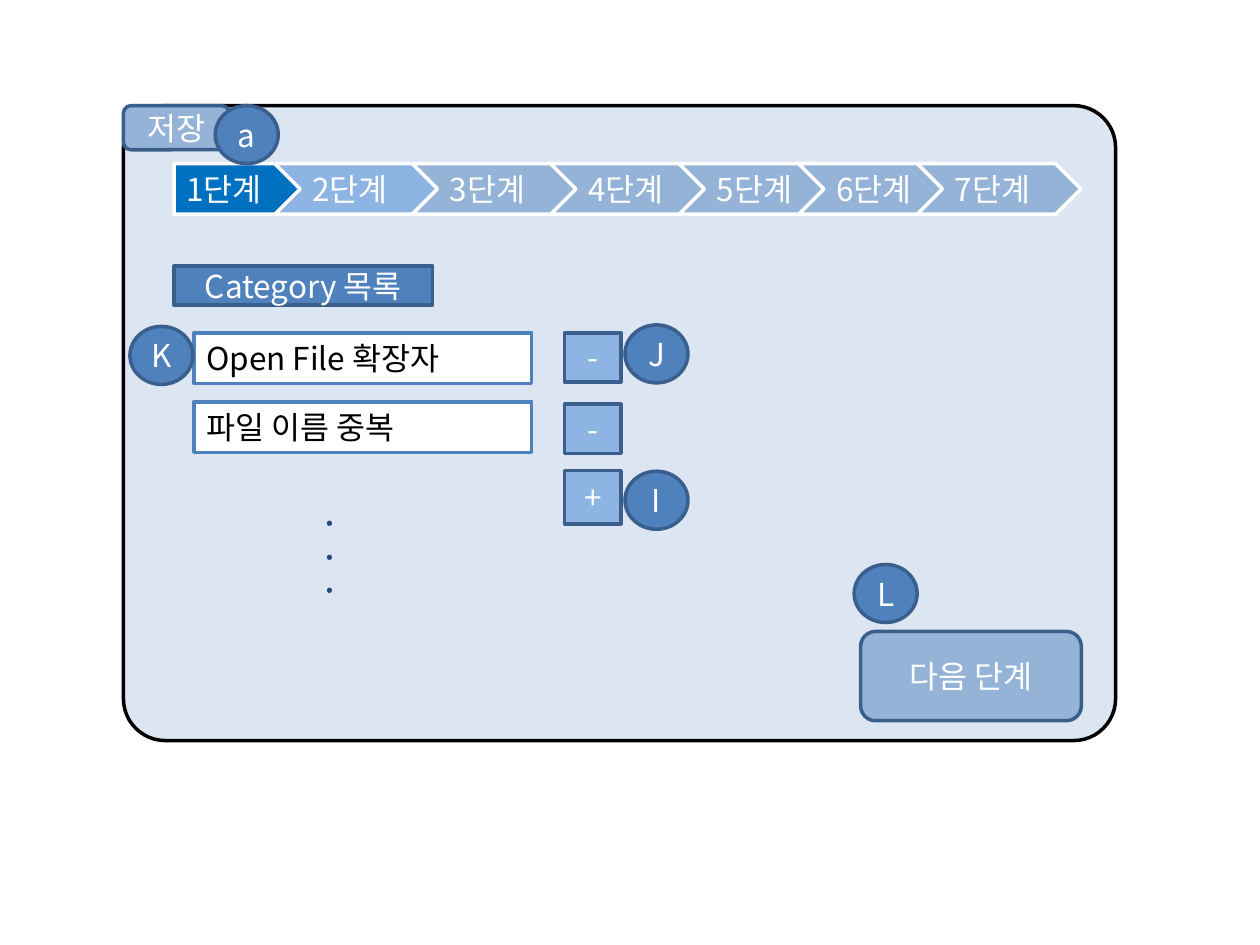
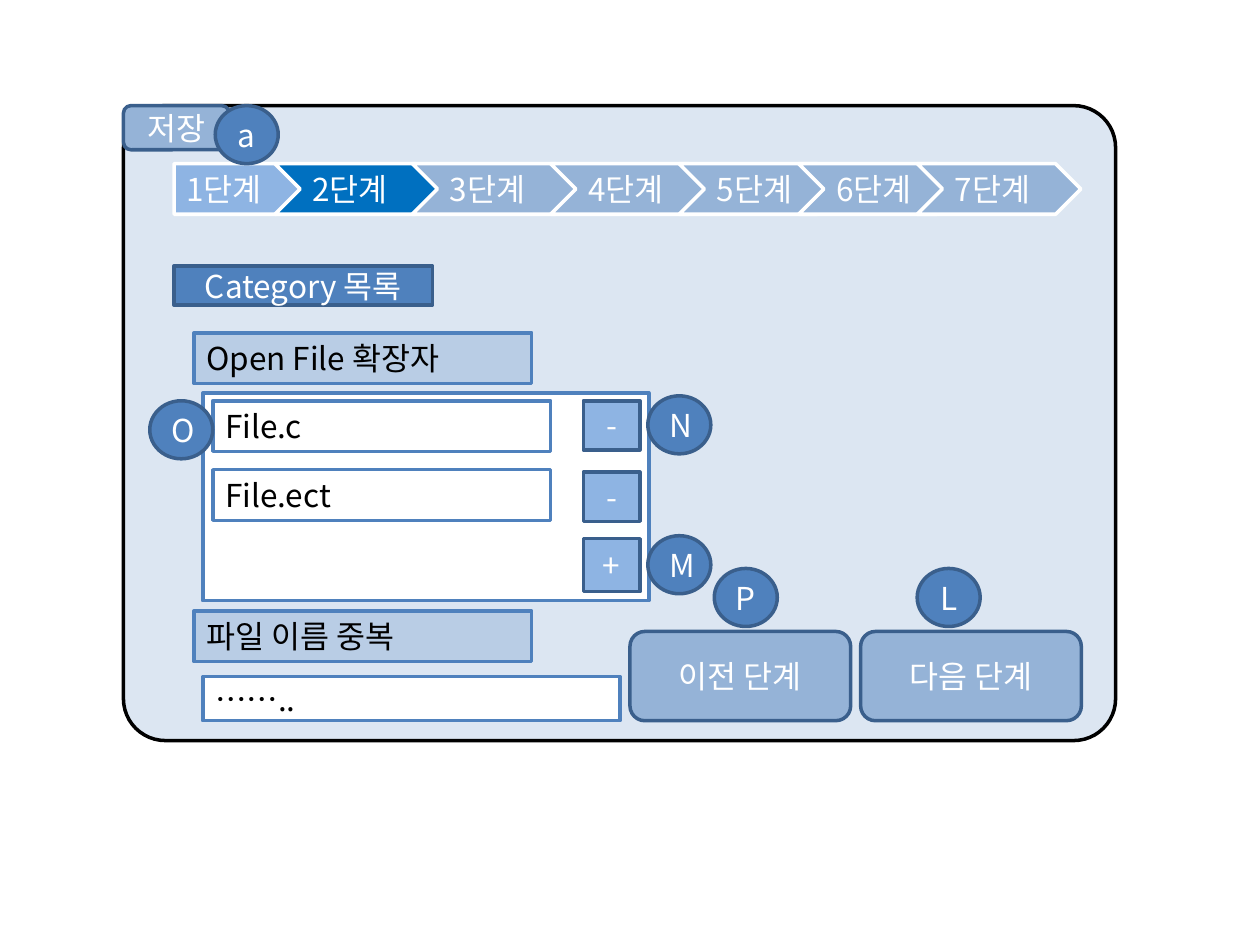
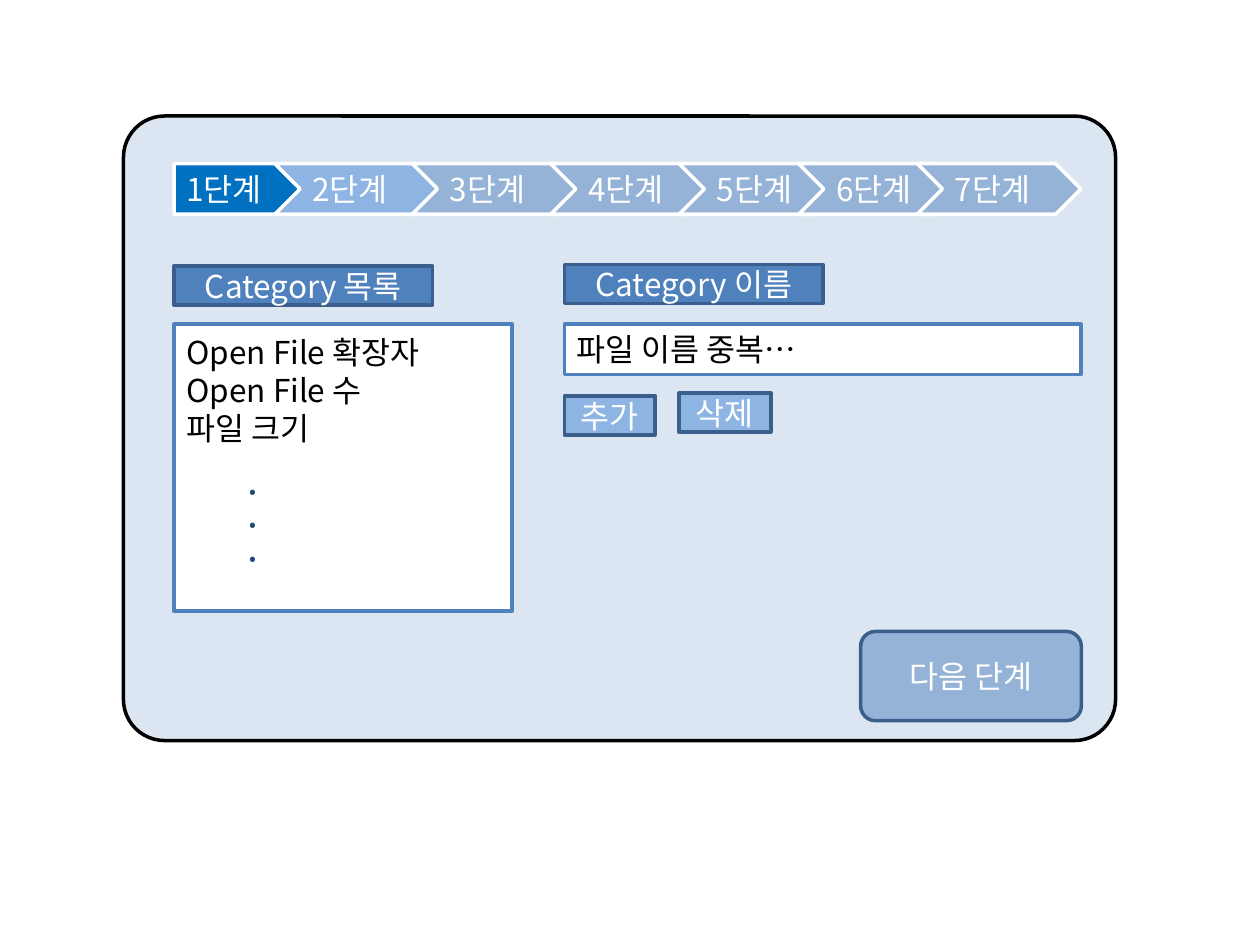
from dataclasses import dataclass, replace
from typing import NamedTuple

from lxml.etree import SubElement
from pptx import Presentation
from pptx.dml.color import RGBColor
from pptx.enum.shapes import MSO_SHAPE
from pptx.enum.text import MSO_ANCHOR, MSO_AUTO_SIZE, PP_ALIGN
from pptx.oxml.ns import qn
from pptx.shapes.autoshape import Shape
from pptx.slide import Slide
from pptx.text.text import TextFrame
from pptx.util import Cm, Pt

FONT = "Noto Sans CJK KR"
WHITE, BLACK, NAVY = "FFFFFF", "000000", "1F497D"
PALE, MIST, SKY, STEEL = "DCE6F2", "B9CDE5", "8EB4E3", "95B3D7"
BLUE, DARK, VIVID = "4F81BD", "3A5F8C", "0070C0"


class Box(NamedTuple):
    """Place and size in centimetres."""
    x: float
    y: float
    w: float
    h: float


@dataclass(frozen=True)
class Style:
    """Look of one kind of element."""
    form: MSO_SHAPE
    fill: str
    edge: str
    ink: str = WHITE
    align: PP_ALIGN = PP_ALIGN.CENTER
    anchor: MSO_ANCHOR = MSO_ANCHOR.MIDDLE


PANEL = Style(MSO_SHAPE.ROUNDED_RECTANGLE, PALE, BLACK)
BUTTON = Style(MSO_SHAPE.ROUNDED_RECTANGLE, STEEL, DARK)
HEAD = Style(MSO_SHAPE.RECTANGLE, BLUE, DARK)
KEY = Style(MSO_SHAPE.RECTANGLE, SKY, DARK)
BADGE = Style(MSO_SHAPE.OVAL, BLUE, DARK)
FIELD = Style(MSO_SHAPE.RECTANGLE, WHITE, BLUE, BLACK, PP_ALIGN.LEFT)
GROUP = replace(FIELD, fill=MIST)
LIST = replace(FIELD, anchor=MSO_ANCHOR.TOP)
STEP = Style(MSO_SHAPE.CHEVRON, STEEL, WHITE, WHITE, PP_ALIGN.LEFT, MSO_ANCHOR.TOP)

STEPS = [(3.51, 2.57), (5.54, 3.35), (8.31, 3.4), (11.1, 3.3),
         (13.69, 3.3), (16.1, 3.3), (18.49, 3.3)]


def tint(code: str) -> RGBColor:
    """Turn a hex string into a colour."""
    return RGBColor.from_string(code)


def write(frame: TextFrame, text: str, ink: str, size: int,
          align: PP_ALIGN, bold: bool = False) -> None:
    """Fill a text frame and format its runs."""
    frame.text = text
    for para in frame.paragraphs:
        para.alignment = align
        for run in para.runs:
            font = run.font
            font.name, font.size, font.bold = FONT, Pt(size), bold
            font.color.rgb = tint(ink)
            SubElement(font._element, qn("a:ea"), typeface=FONT)


def draw(slide: Slide, style: Style, box: Box, text: str = "") -> Shape:
    """Draw one styled shape."""
    shape = slide.shapes.add_shape(style.form, *map(Cm, box))
    shape.shadow.inherit = False
    shape.fill.solid()
    shape.fill.fore_color.rgb = tint(style.fill)
    shape.line.color.rgb = tint(style.edge)
    shape.line.width = Pt(2)
    shape.text_frame.vertical_anchor = style.anchor
    if text:
        write(shape.text_frame, text, style.ink, 18, style.align)
    return shape


def field(slide: Slide, x: float, y: float, text: str, style: Style = FIELD) -> None:
    """Draw a text field of the usual size."""
    draw(slide, style, Box(x, y, 6.81, 1.02), text)


def head(slide: Slide, x: float, y: float, text: str) -> None:
    """Draw a section heading."""
    draw(slide, HEAD, Box(x, y, 5.21, 0.79), text)


def button(slide: Slide, x: float, text: str) -> None:
    """Draw a button that moves between steps."""
    draw(slide, BUTTON, Box(x, 12.73, 4.45, 1.8), text)


def badges(slide: Slide, marks: dict[str, tuple[float, float]]) -> None:
    """Draw the round letter marks."""
    for mark, (x, y) in marks.items():
        draw(slide, BADGE, Box(x, y, 1.27, 1.17), mark)


def editor(slide: Slide, x: float, y: float, names: list[str]) -> None:
    """Draw two fields with their remove keys and an add key."""
    for row, name in enumerate(names):
        field(slide, x, y + 1.39 * row, name)
        draw(slide, KEY, Box(x + 7.47, y + 1.44 * row, 1.14, 0.99), "-")
    draw(slide, KEY, Box(x + 7.47, y + 2.78, 1.14, 1.07), "+")


def dots(slide: Slide, x: float, y: float) -> None:
    """Draw a column of three dots."""
    box = slide.shapes.add_textbox(*map(Cm, Box(x, y, 2.57, 0.41)))
    box.rotation = 90
    frame = box.text_frame
    write(frame, ".\n.\n.", NAVY, 16, PP_ALIGN.LEFT, True)
    frame.word_wrap = False
    frame.auto_size = MSO_AUTO_SIZE.SHAPE_TO_FIT_TEXT
    frame._txBody.bodyPr.set("vert", "eaVert")


def base(deck: Presentation, now: int, top: float = 2.13) -> Slide:
    """Add a slide with the panel, step bar, list heading and next button."""
    slide = deck.slides.add_slide(deck.slide_layouts[6])
    panel = draw(slide, PANEL, Box(2.49, top, 20, 14.93 - top))
    panel.adjustments[0] = 0.066
    for num, (x, width) in enumerate(STEPS, 1):
        fill = VIVID if num == now else SKY if num < 3 else STEEL
        form = MSO_SHAPE.PENTAGON if num == 1 else MSO_SHAPE.CHEVRON
        draw(slide, replace(STEP, form=form, fill=fill),
             Box(x, 3.3, width, 1.02), f"{num}단계")
    head(slide, 3.51, 5.36, "Category 목록")
    button(slide, 17.35, "다음 단계")
    return slide


def save_tab(slide: Slide) -> None:
    """Draw the save tab and its mark."""
    draw(slide, BUTTON, Box(2.49, 2.13, 2.13, 0.89), "저장")
    badges(slide, {"a": (4.34, 2.13)})


def first(deck: Presentation) -> None:
    """Build the category list."""
    slide = base(deck, 1)
    editor(slide, 3.91, 6.71, ["Open File 확장자", "파일 이름 중복"])
    dots(slide, 5.41, 11.07)
    badges(slide, {"J": (12.6, 6.55), "I": (12.6, 9.5),
                   "K": (2.62, 6.58), "L": (17.22, 11.38)})
    save_tab(slide)


def second(deck: Presentation) -> None:
    """Build the items of each category."""
    slide = base(deck, 2)
    field(slide, 3.91, 6.71, "Open File 확장자", GROUP)
    draw(slide, FIELD, Box(4.09, 7.92, 8.99, 4.19))
    editor(slide, 4.29, 8.08, ["File.c", "File.ect"])
    field(slide, 3.91, 12.32, "파일 이름 중복", GROUP)
    draw(slide, FIELD, Box(4.09, 13.64, 8.41, 0.89), "……..")
    button(slide, 12.7, "이전 단계")
    badges(slide, {"N": (13.06, 7.98), "M": (13.06, 10.8), "O": (3.02, 8.08),
                   "L": (18.49, 11.46), "P": (14.4, 11.46)})
    save_tab(slide)


def third(deck: Presentation) -> None:
    """Build the category name form."""
    slide = base(deck, 1, 2.34)
    head(slide, 11.38, 5.33, "Category 이름")
    draw(slide, KEY, Box(11.38, 7.98, 1.83, 0.79), "추가")
    draw(slide, KEY, Box(13.69, 7.92, 1.85, 0.79), "삭제")
    items = draw(slide, LIST, Box(3.51, 6.53, 6.81, 5.79),
                 "Open File 확장자\nOpen File 수\n파일 크기")
    items.text_frame.margin_top = Cm(0.19)
    dots(slide, 3.86, 10.44)
    draw(slide, FIELD, Box(11.38, 6.53, 10.41, 1.02), "파일 이름 중복…")


def main() -> None:
    """Build and save the deck."""
    deck = Presentation()
    deck.slide_width, deck.slide_height = Cm(25.4), Cm(19.05)
    for build in (first, second, third):
        build(deck)
    deck.save("out.pptx")


if __name__ == "__main__":
    main()
